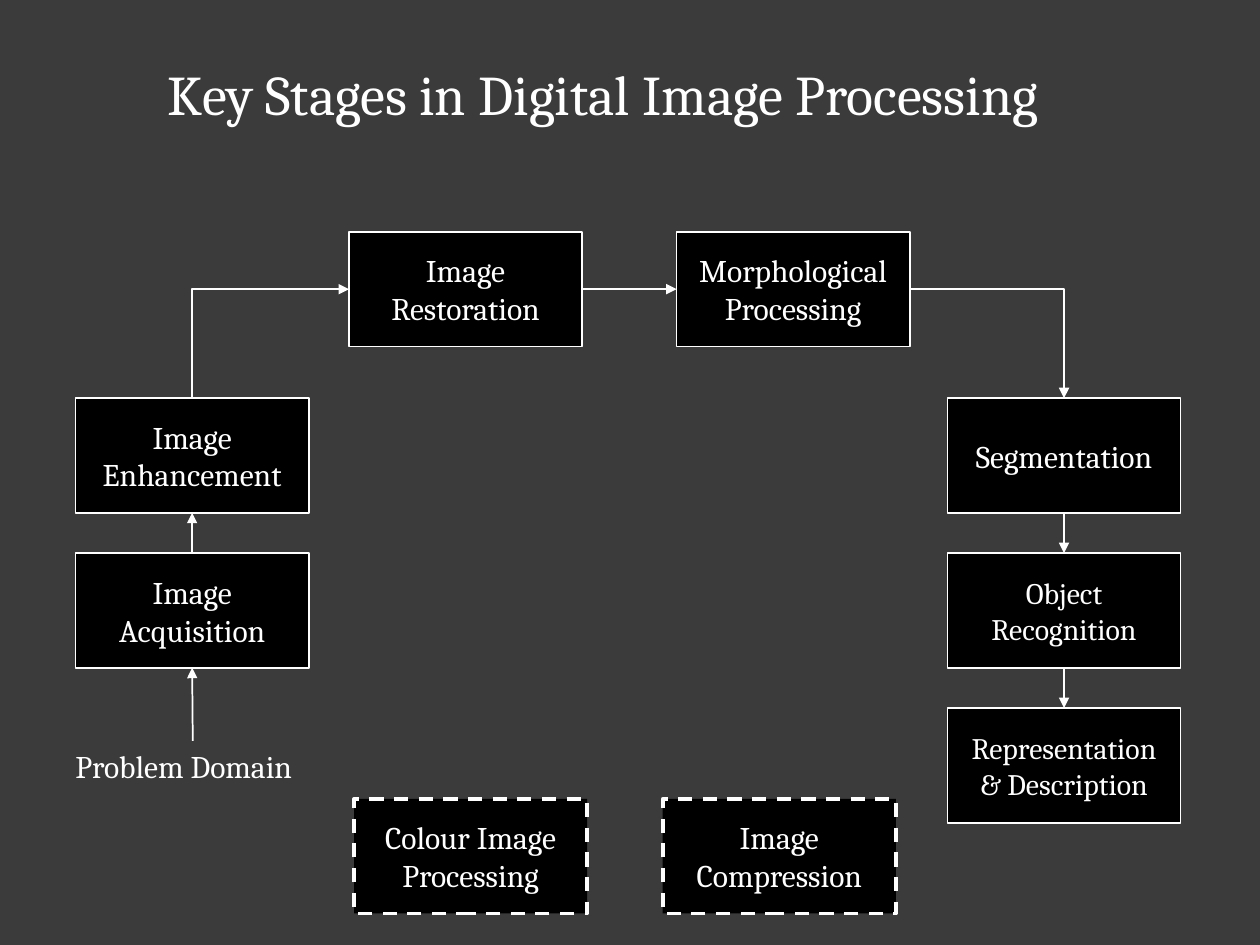
from lxml.etree import SubElement
from pptx import Presentation
from pptx.dml.color import RGBColor
from pptx.enum.dml import MSO_LINE
from pptx.enum.shapes import MSO_CONNECTOR, MSO_SHAPE
from pptx.enum.text import MSO_ANCHOR, MSO_AUTO_SIZE, PP_ALIGN
from pptx.oxml.ns import qn
from pptx.util import Inches, Pt

BACKGROUND = RGBColor(0x3B, 0x3B, 0x3B)
BLACK = RGBColor(0x00, 0x00, 0x00)
WHITE = RGBColor(0xFF, 0xFF, 0xFF)
FONT = "Cambria"
STAGE_WIDTH, STAGE_HEIGHT = Inches(1.85), Inches(0.91)
TOP, LEFT, BOTTOM, RIGHT = range(4)


def set_text(shape, text, size, alignment=PP_ALIGN.CENTER):
    shape.text_frame.word_wrap = True
    paragraph = shape.text_frame.paragraphs[0]
    paragraph.text = text
    paragraph.alignment = alignment
    paragraph.font.name = FONT
    paragraph.font.size = Pt(size)
    paragraph.font.color.rgb = WHITE


def add_label(slide, box, text, size, alignment):
    label = slide.shapes.add_textbox(*box)
    label.text_frame.auto_size = MSO_AUTO_SIZE.SHAPE_TO_FIT_TEXT
    set_text(label, text, size, alignment)
    return label


def add_stage(slide, left, top, text, size=18, dashed=False):
    stage = slide.shapes.add_shape(MSO_SHAPE.RECTANGLE, left, top, STAGE_WIDTH, STAGE_HEIGHT)
    stage.shadow.inherit = False
    stage.fill.solid()
    stage.fill.fore_color.rgb = BLACK
    stage.line.color.rgb = WHITE
    stage.line.width = Pt(2 if dashed else 1)
    if dashed:
        stage.line.dash_style = MSO_LINE.DASH
    stage.text_frame.vertical_anchor = MSO_ANCHOR.MIDDLE
    set_text(stage, text, size)
    return stage


def add_arrow(slide, source, source_side, target, target_side, kind=MSO_CONNECTOR.STRAIGHT):
    arrow = slide.shapes.add_connector(kind, 0, 0, 0, 0)
    arrow.begin_connect(source, source_side)
    arrow.end_connect(target, target_side)
    arrow.line.color.rgb = WHITE
    arrow.line.width = Pt(1)
    properties = arrow._element.spPr
    SubElement(properties.find(qn("a:ln")), qn("a:tailEnd"), type="triangle")
    SubElement(properties, qn("a:effectLst"))
    return arrow


def add_corner_arrow(slide, source, source_side, target, target_side):
    """Joins two stages with one bend; leaving from the top means going up, then right."""
    arrow = add_arrow(slide, source, source_side, target, target_side, MSO_CONNECTOR.ELBOW)
    properties = arrow._element.spPr
    properties.find(qn("a:prstGeom")).set("prst", "bentConnector2")
    if source_side == TOP:
        left, top, width, height = arrow.left, arrow.top, arrow.width, arrow.height
        transform = properties.find(qn("a:xfrm"))
        transform.set("rot", str(270 * 60000))
        transform.attrib.pop("flipV", None)
        arrow.left = left + (width - height) // 2
        arrow.top = top + (height - width) // 2
        arrow.width, arrow.height = height, width


def add_stage_flow(slide, left, top):
    """The arch of stages: up the left side, across the top, down the right side."""
    middle_row, row_step = top + Inches(1.32), Inches(1.23)
    right_column = left + Inches(6.92)

    problem = add_label(
        slide, (left - Inches(0.1), top + Inches(4.04), Inches(2.06), Inches(0.4)),
        "Problem Domain", 18, PP_ALIGN.LEFT)
    acquisition = add_stage(slide, left, middle_row + row_step, "Image Acquisition")
    enhancement = add_stage(slide, left, middle_row, "Image Enhancement")
    restoration = add_stage(slide, left + Inches(2.17), top, "Image Restoration")
    morphology = add_stage(slide, left + Inches(4.77), top, "Morphological Processing")
    right_stages = [
        add_stage(slide, right_column, middle_row + row * row_step, text, size)
        for row, (text, size) in enumerate([
            ("Segmentation", 18),
            ("Object Recognition", 17),
            ("Representation & Description", 17),
        ])
    ]

    add_arrow(slide, problem, TOP, acquisition, BOTTOM)
    add_arrow(slide, acquisition, TOP, enhancement, BOTTOM)
    add_corner_arrow(slide, enhancement, TOP, restoration, LEFT)
    add_arrow(slide, restoration, RIGHT, morphology, LEFT)
    add_corner_arrow(slide, morphology, RIGHT, right_stages[0], TOP)
    for upper, lower in zip(right_stages, right_stages[1:]):
        add_arrow(slide, upper, BOTTOM, lower, TOP)


def add_supporting_stages(slide, left, top):
    for column, text in enumerate(["Colour Image Processing", "Image Compression"]):
        add_stage(slide, left + column * Inches(2.45), top, text, dashed=True)


def main():
    presentation = Presentation()
    presentation.slide_width, presentation.slide_height = Inches(10), Inches(7.5)
    slide = presentation.slides.add_slide(presentation.slide_layouts[6])
    slide.background.fill.solid()
    slide.background.fill.fore_color.rgb = BACKGROUND

    add_label(slide, (Inches(0.5), Inches(0.42), Inches(8.58), Inches(0.64)),
              "Key Stages in Digital Image Processing", 32, PP_ALIGN.CENTER)
    add_stage_flow(slide, Inches(0.6), Inches(1.84))
    add_supporting_stages(slide, Inches(2.81), Inches(6.34))
    presentation.save("out.pptx")


if __name__ == "__main__":
    main()
